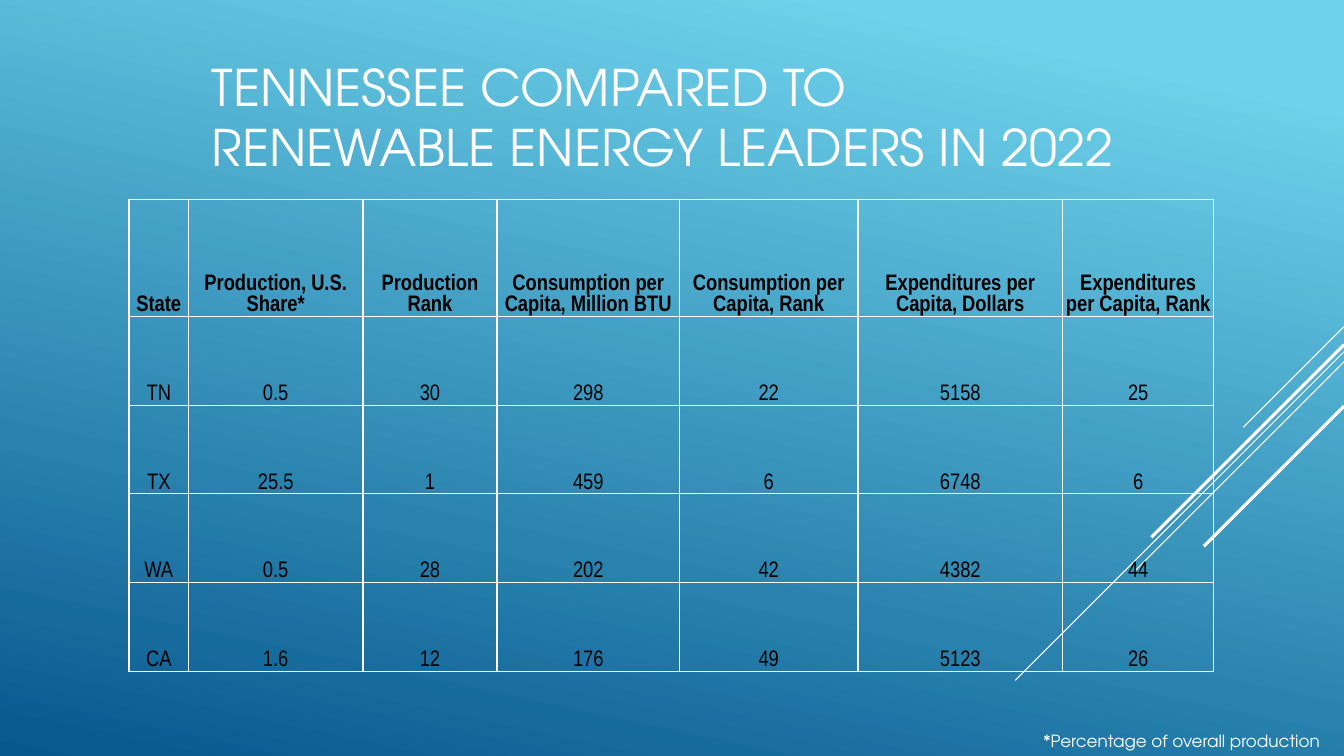
from lxml import etree
from pptx import Presentation
from pptx.dml.color import RGBColor
from pptx.enum.shapes import MSO_CONNECTOR
from pptx.enum.text import MSO_ANCHOR, PP_ALIGN
from pptx.oxml.ns import qn
from pptx.util import Inches, Pt

STRAIGHT = MSO_CONNECTOR.STRAIGHT
MIDDLE, BOTTOM = MSO_ANCHOR.MIDDLE, MSO_ANCHOR.BOTTOM
LEFT, CENTER = PP_ALIGN.LEFT, PP_ALIGN.CENTER

WIDTH, HEIGHT = 13.33, 7.5
TITLE_ONLY = 5
WHITE, BLACK = "FFFFFF", "000000"
HEADING_FONT, TABLE_FONT = "TeX Gyre Adventor", "Arial Narrow"

GRADIENT = [(0.1, "6ED2EB"), (1, "06588E")]
GRADIENT_ANGLE = 360 - 102

# Height at the right edge, horizontal run, line width
RAYS = [(3.24, 1, 0.75), (3.49, 3.26, 0.75), (3.59, 2.07, 0.75),
        (3.42, 1.91, 2.25), (4.03, 1.39, 2.25)]

COLUMN_WIDTHS = [0.59, 1.73, 1.33, 1.81, 1.77, 2.03, 1.5]
HEADER_HEIGHT, ROW_HEIGHT = 1.16, 0.88
STATES = [
    ["State", "Production, U.S. Share*", "Production Rank",
     "Consumption per Capita, Million BTU", "Consumption per Capita, Rank",
     "Expenditures per Capita, Dollars", "Expenditures per Capita, Rank"],
    ["TN", "0.5", "30", "298", "22", "5158", "25"],
    ["TX", "25.5", "1", "459", "6", "6748", "6"],
    ["WA", "0.5", "28", "202", "42", "4382", "44"],
    ["CA", "1.6", "12", "176", "49", "5123", "26"],
]


def color(hex_code):
    return RGBColor.from_string(hex_code)


def set_attributes(target, values):
    for name, value in values.items():
        setattr(target, name, value)


def write(frame, text, font, size, ink, align=LEFT, bold=False):
    para = frame.paragraphs[0]
    para.alignment = align
    span = para.add_run()
    span.text = text
    set_attributes(span.font, {"name": font, "size": Pt(size), "bold": bold})
    span.font.color.rgb = color(ink)


def paint_background(page):
    fill = page.background.fill
    fill.gradient()
    fill.gradient_angle = GRADIENT_ANGLE
    for stop, (position, hex_code) in zip(fill.gradient_stops, GRADIENT):
        stop.position = position
        stop.color.rgb = color(hex_code)


def add_rays(page, right):
    """Draw the 45-degree lines that run down and left from the right edge."""
    for top, run, width in RAYS:
        ray = page.shapes.add_connector(
            STRAIGHT, Inches(right), Inches(top),
            Inches(right - run), Inches(top + run))
        ray.line.color.rgb = color(WHITE)
        ray.line.width = Pt(width)
        etree.SubElement(ray._element.spPr, qn("a:effectLst"))


def place_title(page, box, text):
    title = page.shapes.title
    set_attributes(title, dict(zip(("left", "top", "width", "height"),
                                   map(Inches, box))))
    set_attributes(title.text_frame,
                   {"vertical_anchor": MIDDLE, "word_wrap": True})
    write(title.text_frame, text, HEADING_FONT, 36, WHITE)


def add_borders(cell):
    properties = cell._tc.get_or_add_tcPr()
    for position, side in enumerate(("lnL", "lnR", "lnT", "lnB")):
        border = etree.Element(qn(f"a:{side}"), w=str(Pt(1)))
        fill = etree.SubElement(border, qn("a:solidFill"))
        etree.SubElement(fill, qn("a:srgbClr"), val=WHITE)
        properties.insert(position, border)


def add_state_table(page, left, top):
    heights = [HEADER_HEIGHT] + [ROW_HEIGHT] * (len(STATES) - 1)
    table = page.shapes.add_table(
        len(heights), len(COLUMN_WIDTHS), Inches(left), Inches(top),
        Inches(sum(COLUMN_WIDTHS)), Inches(sum(heights))).table
    set_attributes(table, {"first_row": False, "horz_banding": False})
    for column, width in zip(table.columns, COLUMN_WIDTHS):
        column.width = Inches(width)
    for row_index, (row, height) in enumerate(zip(table.rows, heights)):
        row.height = Inches(height)
        for cell, text in zip(row.cells, STATES[row_index]):
            set_attributes(cell, {
                "vertical_anchor": BOTTOM, "margin_left": Inches(0.01),
                "margin_right": Inches(0.01), "margin_top": Inches(0.01),
                "margin_bottom": 0})
            cell.fill.background()
            add_borders(cell)
            write(cell.text_frame, text, TABLE_FONT, 16, BLACK, CENTER,
                  bold=row_index == 0)


def add_footnote(page, box, text):
    note = page.shapes.add_textbox(*map(Inches, box))
    note.text_frame.word_wrap = True
    write(note.text_frame, text, HEADING_FONT, 12, WHITE)


def main():
    deck = Presentation()
    set_attributes(deck, {"slide_width": Inches(WIDTH),
                          "slide_height": Inches(HEIGHT)})
    page = deck.slides.add_slide(deck.slide_layouts[TITLE_ONLY])
    paint_background(page)
    add_rays(page, WIDTH)
    place_title(page, (2, 0.33, 9.33, 1.65),
                "TENNESSEE COMPARED TO RENEWABLE ENERGY LEADERS IN 2022")
    add_state_table(page, 1.28, 1.98)
    add_footnote(page, (10.25, 7.2, 3.08, 0.3),
                 "*Percentage of overall production")
    deck.save("out.pptx")


if __name__ == "__main__":
    main()
